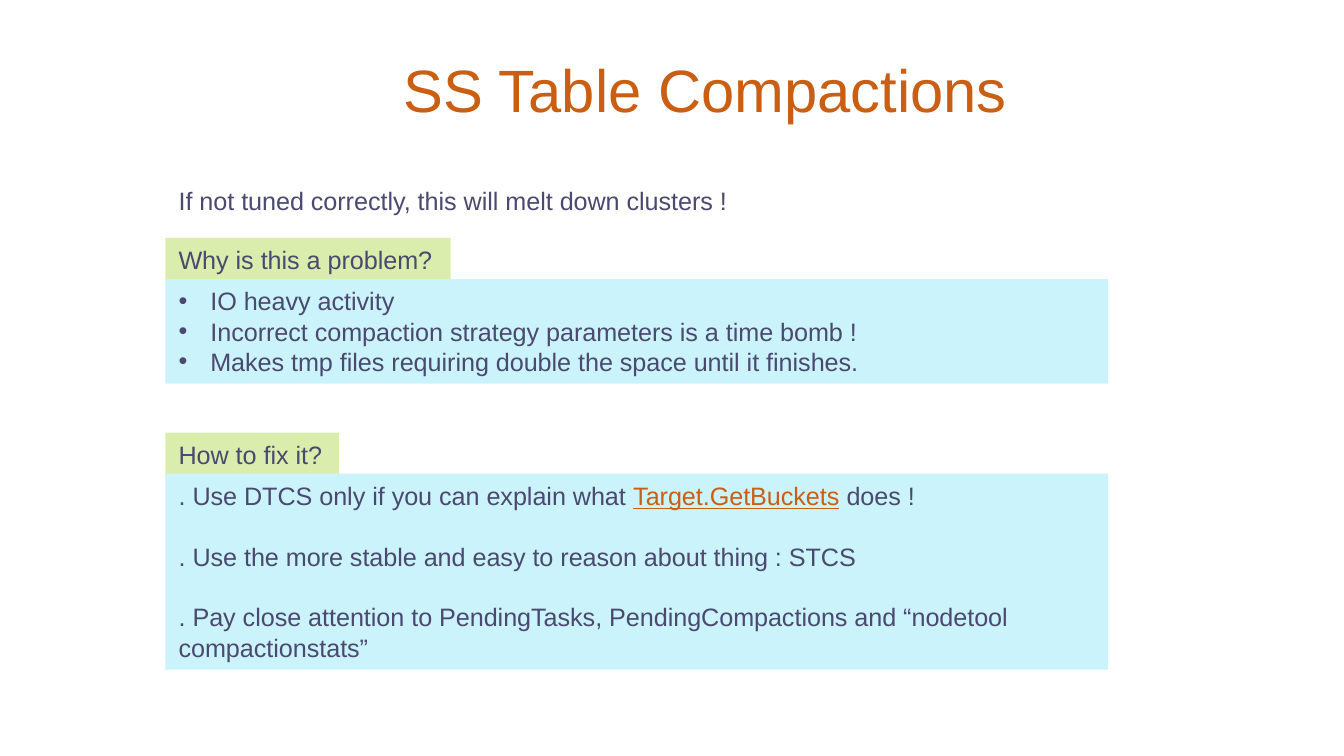
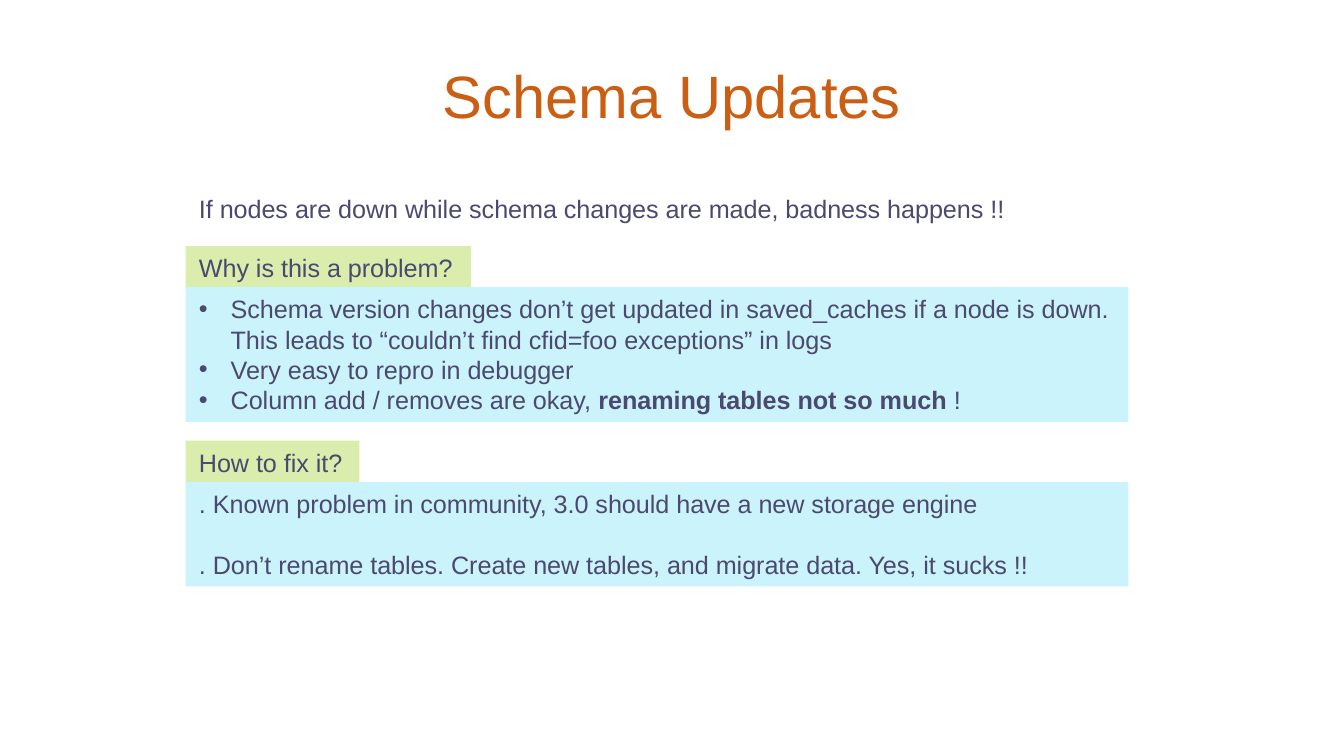
from dataclasses import dataclass

from lxml.etree import SubElement
from pptx import Presentation
from pptx.dml.color import RGBColor as RGB
from pptx.enum.shapes import MSO_SHAPE as SHAPE
from pptx.enum.text import MSO_ANCHOR as ANCHOR, MSO_AUTO_SIZE as FIT, PP_ALIGN as ALIGN
from pptx.oxml.ns import qn
from pptx.util import Pt


@dataclass(frozen=True)
class Theme:
    font: str = "Arial"
    accent: RGB = RGB(0xCA, 0x5F, 0x14)
    ink: RGB = RGB(0x4B, 0x49, 0x6F)
    label: RGB = RGB(0xDB, 0xED, 0xAD)
    panel: RGB = RGB(0xCB, 0xF3, 0xFC)
    title_size: float = 32
    body_size: float = 13.5
    line: float = 16.3
    padding: float = 7.2
    indent: float = 17


THEME = Theme()
TITLE_SIZE = (648, 67.7)
PANEL_WIDTH = 505
WHY = ("Why is this a problem?", 152.8)
FIX = ("How to fix it?", 93)
WHY_OFFSET, FIX_OFFSET, PANEL_OFFSET = 31.7, 136, 22


def add_run(p, text, size=THEME.body_size, color=THEME.ink, **extra):
    r = p.add_run()
    r.text = text
    r.font.color.rgb = color
    formats = {"name": THEME.font, "size": Pt(size), **extra}
    for name, value in formats.items():
        setattr(r.font, name, value)


def add_bullet(p):
    pPr = p._p.get_or_add_pPr()
    pPr.set("marL", str(Pt(THEME.indent)))
    pPr.set("indent", str(-Pt(THEME.indent)))
    SubElement(pPr, qn("a:buFont")).set("typeface", THEME.font)
    SubElement(pPr, qn("a:buChar")).set("char", "•")


def write(tf, paragraphs, bullets=False, gap=0):
    formats = {"word_wrap": True, "auto_size": FIT.NONE, "vertical_anchor": ANCHOR.TOP}
    for name, value in formats.items():
        setattr(tf, name, value)
    for i, runs in enumerate(paragraphs):
        p = tf.add_paragraph() if i else tf.paragraphs[0]
        p.alignment = ALIGN.LEFT
        if i and gap:
            p.space_before = Pt(gap)
        if bullets:
            add_bullet(p)
        for text, style in runs:
            add_run(p, text, **style)


def plain(text):
    return [(text, {})]


def box_height(lines):
    return THEME.padding + lines * THEME.line


def add_title(s, text, left, top):
    sp = s.shapes.title
    place = dict(zip(("left", "top", "width", "height"), (left, top, *TITLE_SIZE)))
    for name, value in place.items():
        setattr(sp, name, Pt(value))
    tf = sp.text_frame
    tf.auto_size = FIT.NONE
    tf.vertical_anchor = ANCHOR.MIDDLE
    p = tf.paragraphs[0]
    p.alignment = ALIGN.CENTER
    add_run(p, text, THEME.title_size, THEME.accent)


def add_intro(s, text, left, top, width):
    sp = s.shapes.add_textbox(Pt(left), Pt(top), Pt(width), Pt(box_height(1)))
    write(sp.text_frame, [plain(text)])


def add_block(s, fill, left, top, width, lines, paragraphs, **layout):
    sp = s.shapes.add_shape(
        SHAPE.RECTANGLE, Pt(left), Pt(top), Pt(width), Pt(box_height(lines)))
    sp.shadow.inherit = False
    sp.fill.solid()
    sp.fill.fore_color.rgb = fill
    sp.line.fill.background()
    write(sp.text_frame, paragraphs, **layout)


def add_section(s, heading, left, top, lines, paragraphs, **layout):
    text, width = heading
    add_block(s, THEME.label, left, top, width, 1, [plain(text)])
    add_block(s, THEME.panel, left, top + PANEL_OFFSET, PANEL_WIDTH, lines,
              paragraphs, **layout)


def add_topic(prs, title, title_at, intro, intro_width, origin, why, fix):
    s = prs.slides.add_slide(prs.slide_layouts[5])
    left, top = origin
    add_title(s, title, *title_at)
    add_intro(s, intro, left, top, intro_width)
    add_section(s, WHY, left, top + WHY_OFFSET, *why, bullets=True)
    add_section(s, FIX, left, top + FIX_OFFSET, *fix, gap=THEME.line)


def main():
    prs = Presentation()
    prs.slide_width, prs.slide_height = Pt(720), Pt(405)
    add_topic(
        prs, "SS Table Compactions", (54, 13.7),
        "If not tuned correctly, this will melt down clusters !", 312.5, (88.6, 95.8),
        (3, [
            plain("IO heavy activity"),
            plain("Incorrect compaction strategy parameters is a time bomb !"),
            plain("Makes tmp files requiring double the space until it finishes."),
        ]),
        (6, [
            [(". Use DTCS only if you can explain what ", {}),
             ("Target.GetBuckets", {"color": THEME.accent, "underline": True}),
             (" does !", {})],
            plain(". Use the more stable and easy to reason about thing : STCS"),
            plain(". Pay close attention to PendingTasks, PendingCompactions "
                  "and “nodetool compactionstats”"),
        ]))
    add_topic(
        prs, "Schema Updates", (36, 16.6),
        "If nodes are down while schema changes are made, badness happens !!", 452,
        (99.5, 100.1),
        (4, [
            plain("Schema version changes don’t get updated in saved_caches if a node "
                  "is down. This leads to “couldn’t find cfid=foo exceptions” in logs"),
            plain("Very easy to repro in debugger"),
            [("Column add / removes are okay, ", {}),
             ("renaming tables not so much ", {"bold": True}),
             ("!", {})],
        ]),
        (3, [
            plain(". Known problem in community, 3.0 should have a new storage engine"),
            plain(". Don’t rename tables. Create new tables, and migrate data. "
                  "Yes, it sucks !!"),
        ]))
    prs.save("out.pptx")


if __name__ == "__main__":
    main()
